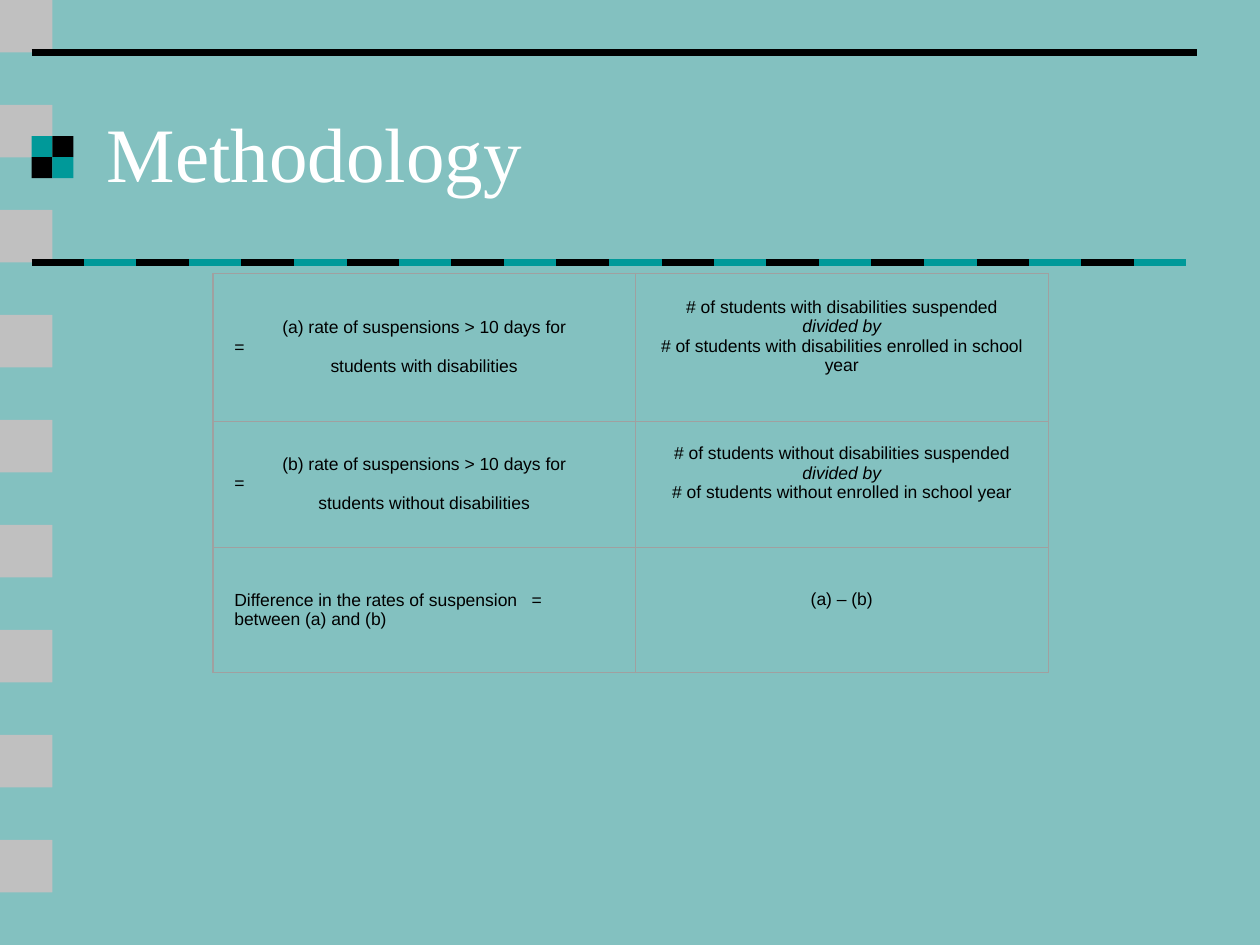
"""Build the Methodology slide with its table of suspension rates."""
import pptx
import pptx.dml.color
import pptx.enum.shapes
import pptx.enum.text
import pptx.oxml
import pptx.oxml.ns
import pptx.util

Inches = pptx.util.Inches
Pt = pptx.util.Pt
ALIGN = pptx.enum.text.PP_ALIGN
MIDDLE = pptx.enum.text.MSO_ANCHOR.MIDDLE
NAMESPACE = pptx.oxml.ns.nsdecls("a")

BLACK, TEAL, SILVER, WHITE = "000000", "009999", "C0C0C0", "FFFFFF"
BACKGROUND, BORDER = "83C1C0", "A0A0A0"
UNIT = 5 / 12


def colour(value):
    return pptx.dml.color.RGBColor.from_string(value)


class SlideBuilder:
    """Hold the fonts and the current slide, and draw each kind of element."""

    title_font, body_font = "Times New Roman", "Arial"
    title_size, body_size = 44, 10

    def __init__(self, page):
        self.page = page
        page.background.fill.solid()
        page.background.fill.fore_color.rgb = colour(BACKGROUND)

    def square(self, left, top, size, fill):
        shape = self.page.shapes.add_shape(
            pptx.enum.shapes.MSO_SHAPE.RECTANGLE,
            Inches(left), Inches(top), Inches(size), Inches(size))
        shape.shadow.inherit = False
        shape.fill.solid()
        shape.fill.fore_color.rgb = colour(fill)
        shape.line.fill.background()

    def rule(self, start, end, top, stroke):
        line = self.page.shapes.add_connector(
            pptx.enum.shapes.MSO_CONNECTOR.STRAIGHT,
            Inches(start), Inches(top), Inches(end), Inches(top))
        line.line.color.rgb = colour(stroke)
        line.line.width = Pt(4.5)
        line._element.spPr.append(pptx.oxml.parse_xml(f"<a:effectLst {NAMESPACE}/>"))

    def style(self, paragraph, font, size, value):
        for span in paragraph.runs:
            span.font.name = font
            span.font.size = Pt(size)
            span.font.color.rgb = colour(value)

    def title(self, text, left, top, width, height):
        box = self.page.shapes.add_textbox(
            Inches(left), Inches(top), Inches(width), Inches(height))
        frame = box.text_frame
        frame.word_wrap = True
        frame.vertical_anchor = MIDDLE
        frame.text = text
        self.style(frame.paragraphs[0], self.title_font, self.title_size, WHITE)

    def table(self, left, top, widths, heights, rows):
        table = self.page.shapes.add_table(
            len(rows), len(widths), Inches(left), Inches(top),
            Inches(sum(widths)), Inches(sum(heights))).table
        table.first_row = table.horz_banding = False
        for column, width in zip(table.columns, widths):
            column.width = Inches(width)
        for row, height in zip(table.rows, heights):
            row.height = Inches(height)
        for y, row in enumerate(rows):
            for x, lines in enumerate(row):
                cell = table.cell(y, x)
                self.cell(cell, lines, 0.05 if x == 0 else 0.22)
                self.borders(cell, {
                    "lnL": x == 0, "lnR": x == len(row) - 1,
                    "lnT": y == 0, "lnB": y == len(rows) - 1})

    def cell(self, cell, lines, bottom):
        cell.fill.background()
        cell.vertical_anchor = MIDDLE
        cell.margin_left = cell.margin_right = Inches(0.17)
        cell.margin_top, cell.margin_bottom = Inches(0.05), Inches(bottom)
        cell.text_frame.text = "\n".join(text for text, _, _ in lines)
        for paragraph, (text, alignment, italic) in zip(cell.text_frame.paragraphs, lines):
            paragraph.alignment = alignment
            if "\t" in text:
                paragraph._p.get_or_add_pPr().append(pptx.oxml.parse_xml(
                    f'<a:tabLst {NAMESPACE}><a:tab pos="{Inches(2.36)}" algn="l"/></a:tabLst>'))
            self.style(paragraph, self.body_font, self.body_size, BLACK)
            for span in paragraph.runs:
                span.font.italic = italic

    def borders(self, cell, sides):
        properties = cell._tc.get_or_add_tcPr()
        for position, (side, outer) in enumerate(sides.items()):
            width = Pt(0.75 if outer else 0.25)
            properties.insert(position, pptx.oxml.parse_xml(
                f'<a:{side} {NAMESPACE} w="{width}"><a:solidFill>'
                f'<a:srgbClr val="{BORDER}"/></a:solidFill></a:{side}>'))


def left(text):
    return text, ALIGN.LEFT, False


def centred(text, italic=False):
    return text, ALIGN.CENTER, italic


def rate_row(letter, group, suspended, enrolled):
    return (
        [centred(f"({letter}) rate of suspensions > 10 days for"), left("="),
         centred(f"students {group} disabilities")],
        [centred(f"# of students {suspended} suspended"),
         centred("divided by", italic=True),
         centred(f"# of students {enrolled} enrolled in school year")])


def main():
    deck = pptx.Presentation()
    deck.slide_width, deck.slide_height = Inches(10), Inches(7.5)
    builder = SlideBuilder(deck.slides.add_slide(deck.slide_layouts[6]))

    for index in range(9):
        builder.square(0, index * 2 * UNIT, UNIT, SILVER)
    builder.rule(0.25, 9.5, UNIT, BLACK)
    for row in range(2):
        for column in range(2):
            builder.square(0.25 + column / 6, 1.08 + row / 6, 1 / 6,
                           TEAL if row == column else BLACK)
    for index in range(22):
        start = 0.25 + index * UNIT
        builder.rule(start, start + UNIT, 5 * UNIT, TEAL if index % 2 else BLACK)

    builder.title("Methodology", 0.75, 0.58, 8.5, 1.25)
    builder.table(1.69, 2.17, [3.35, 3.28], [1.17, 1, 1], [
        rate_row("a", "with", "with disabilities", "with disabilities"),
        rate_row("b", "without", "without disabilities", "without"),
        ([left("Difference in the rates of suspension\t="), left("between (a) and (b)")],
         [centred("(a) – (b)")])])
    deck.save("out.pptx")


if __name__ == "__main__":
    main()
